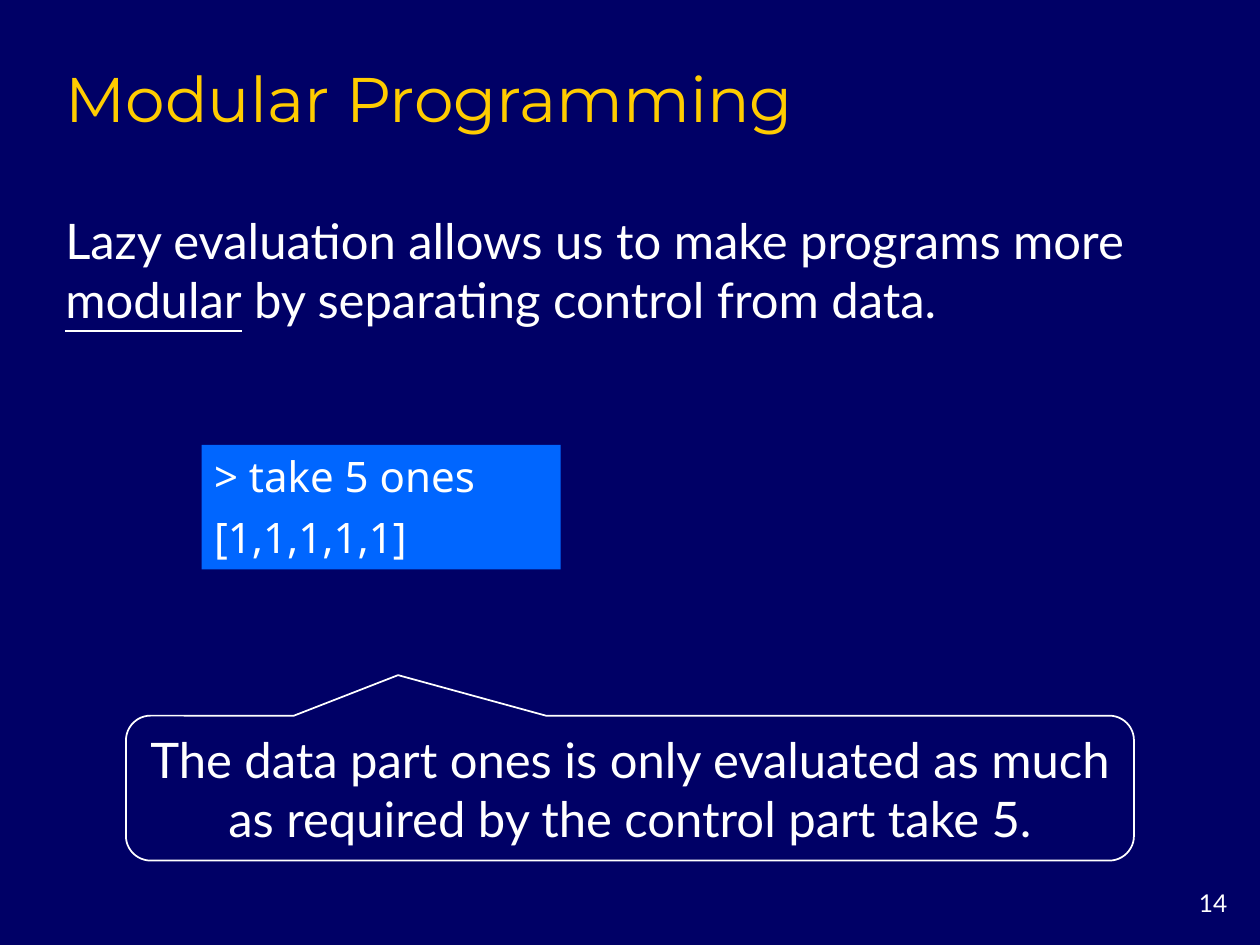
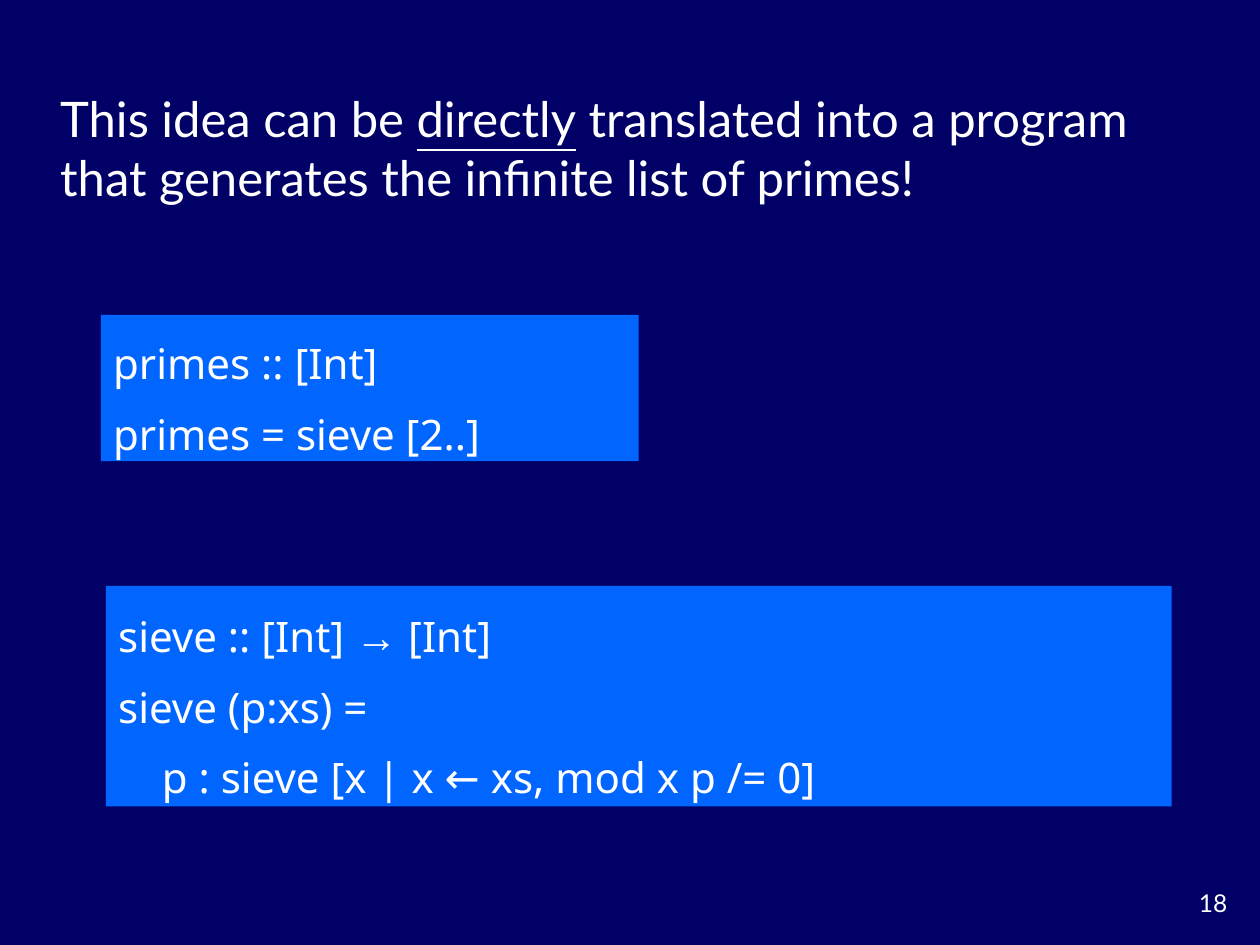
import pptx
import pptx.util
import pptx.dml.color
import pptx.enum.shapes
import pptx.enum.text
from pptx.util import Inches

COLORS = {"background": "000066", "title": "FFCC00", "text": "FFFFFF", "code": "0066FF"}
BODY_FONT, TITLE_FONT, CODE_FONT = "Lato", "Montserrat", "Noto Sans"
ALIGN = pptx.enum.text.PP_ALIGN
ANCHOR = pptx.enum.text.MSO_ANCHOR
SHAPE = pptx.enum.shapes.MSO_SHAPE


def color(name):
    return pptx.dml.color.RGBColor.from_string(COLORS[name])


def write(shape, paragraphs, size, font=BODY_FONT, text_color="text",
          align=ALIGN.LEFT, anchor=ANCHOR.TOP, line_spacing=None, gap=None):
    """Fill a shape; each paragraph is a list of (text, run settings) pairs."""
    frame = shape.text_frame
    frame.word_wrap = True
    frame.auto_size = pptx.enum.text.MSO_AUTO_SIZE.NONE
    frame.vertical_anchor = anchor
    for index, runs in enumerate(paragraphs):
        paragraph = frame.add_paragraph() if index else frame.paragraphs[0]
        paragraph.alignment = align
        if line_spacing:
            paragraph.line_spacing = line_spacing
        if gap and index:
            paragraph.space_before = pptx.util.Pt(gap)
        paragraph.font.size = pptx.util.Pt(size)
        paragraph.font.name = font
        paragraph.font.color.rgb = color(text_color)
        for text, settings in runs:
            run = paragraph.add_run()
            run.text = text
            for name, value in settings.items():
                setattr(run.font, name, value)


presentation = pptx.Presentation()
presentation.slide_width = Inches(10)
presentation.slide_height = Inches(7.5)
title_only, blank = presentation.slide_layouts[5], presentation.slide_layouts[6]

underlined = {"underline": True}
slides = [
    {
        "number": "14",
        "title": "Modular Programming",
        "statement": ((0.42, 1.62, 9.31, 1.04), [
            ("Lazy evaluation allows us to make programs more ", {}),
            ("modular", underlined),
            (" by separating control from data.", {})]),
        "code": [
            ((1.6, 3.53, 2.85, 0.99), {"gap": 6},
             [[("> take 5 ones", {})], [("[1,1,1,1,1]", {})]]),
        ],
        "callout": "The data part ones is only evaluated as much "
                   "as required by the control part take 5.",
    },
    {
        "number": "18",
        "statement": ((0.38, 0.65, 9.24, 1.04), [
            ("This idea can be ", {}),
            ("directly", underlined),
            (" translated into a program that generates the infinite list of primes!", {})]),
        "code": [
            ((0.8, 2.5, 4.27, 1.16), {"line_spacing": 1.4, "anchor": ANCHOR.MIDDLE},
             [[("primes :: [Int]", {})], [("primes = sieve [2..]", {})]]),
            ((0.84, 4.65, 8.46, 1.75), {"line_spacing": 1.4, "anchor": ANCHOR.MIDDLE},
             [[("sieve :: [Int] ", {}), ("→", {"name": "Times New Roman"}), (" [Int]", {})],
              [("sieve (p:xs) =", {})],
              [("    p : sieve [x | x ← xs, mod x p /= 0]", {})]]),
        ],
    },
]

for content in slides:
    slide = presentation.slides.add_slide(title_only if "title" in content else blank)
    slide.background.fill.solid()
    slide.background.fill.fore_color.rgb = color("background")

    # Slide number
    number = slide.shapes.add_textbox(Inches(9.17), Inches(7), Inches(0.67), Inches(0.33))
    write(number, [[(content["number"], {})]], 14, align=ALIGN.RIGHT)

    # Title
    if "title" in content:
        title = slide.shapes.title
        title.left, title.top = Inches(0.42), Inches(0.42)
        title.width, title.height = Inches(9.31), Inches(0.75)
        write(title, [[(content["title"], {})]], 36, TITLE_FONT, "title")

    # Statement
    box, runs = content["statement"]
    statement = slide.shapes.add_textbox(*map(Inches, box))
    write(statement, [runs], 28, anchor=ANCHOR.MIDDLE)

    # Code blocks
    for box, layout, lines in content["code"]:
        code = slide.shapes.add_shape(SHAPE.RECTANGLE, *map(Inches, box))
        code.shadow.inherit = False
        code.fill.solid()
        code.fill.fore_color.rgb = color("code")
        code.line.fill.background()
        write(code, lines, 24, CODE_FONT, **layout)

    # Callout pointing up at the code
    if "callout" in content:
        callout = slide.shapes.add_shape(
            SHAPE.ROUNDED_RECTANGULAR_CALLOUT, Inches(1), Inches(5.68), Inches(8), Inches(1.15))
        for index, value in enumerate((-0.23, -0.78, 0.17)):
            callout.adjustments[index] = value
        callout.shadow.inherit = False
        callout.fill.background()
        callout.line.color.rgb = color("text")
        callout.line.width = pptx.util.Pt(1)
        write(callout, [[(content["callout"], {})]], 28,
              align=ALIGN.CENTER, anchor=ANCHOR.MIDDLE)

presentation.save("out.pptx")
